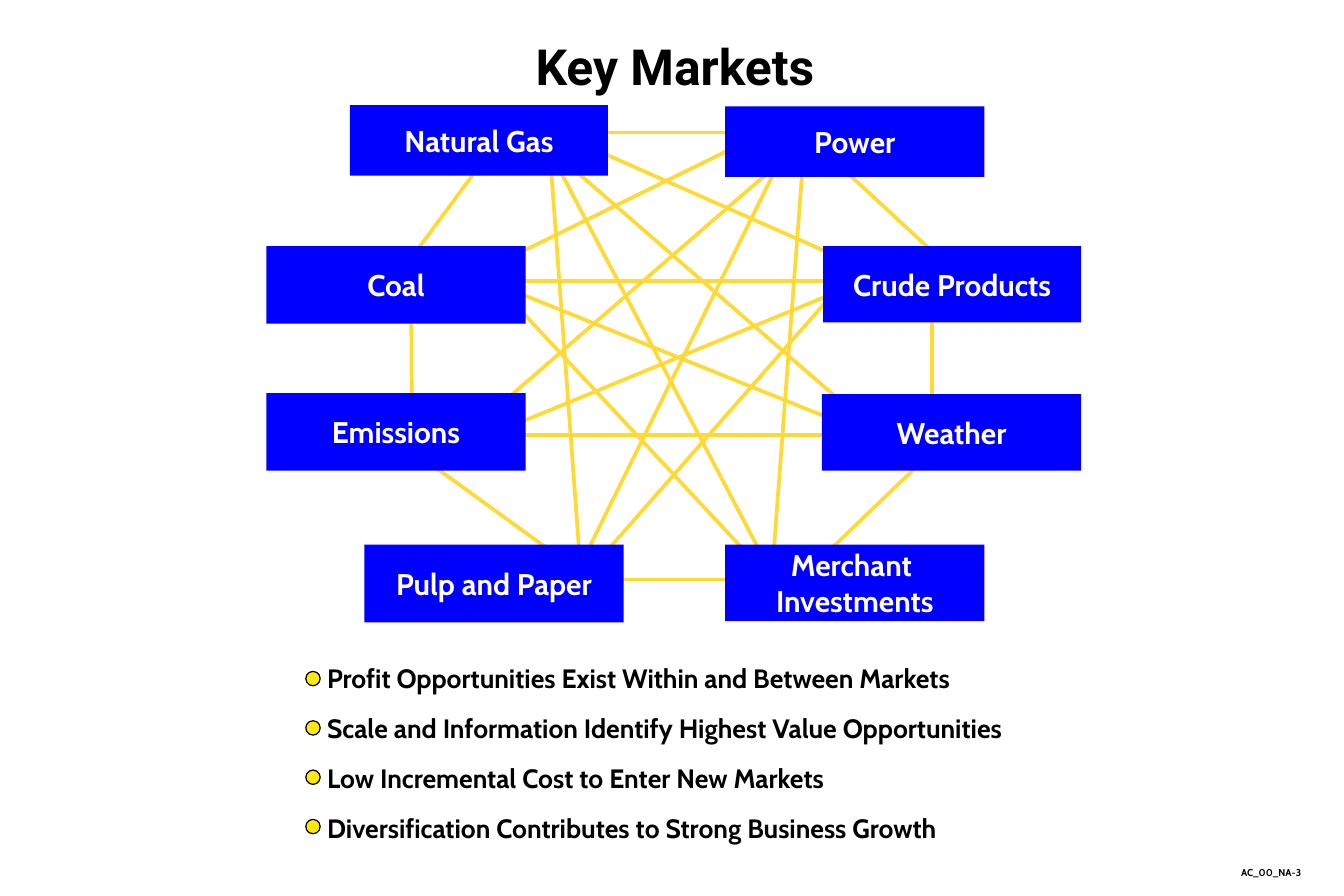
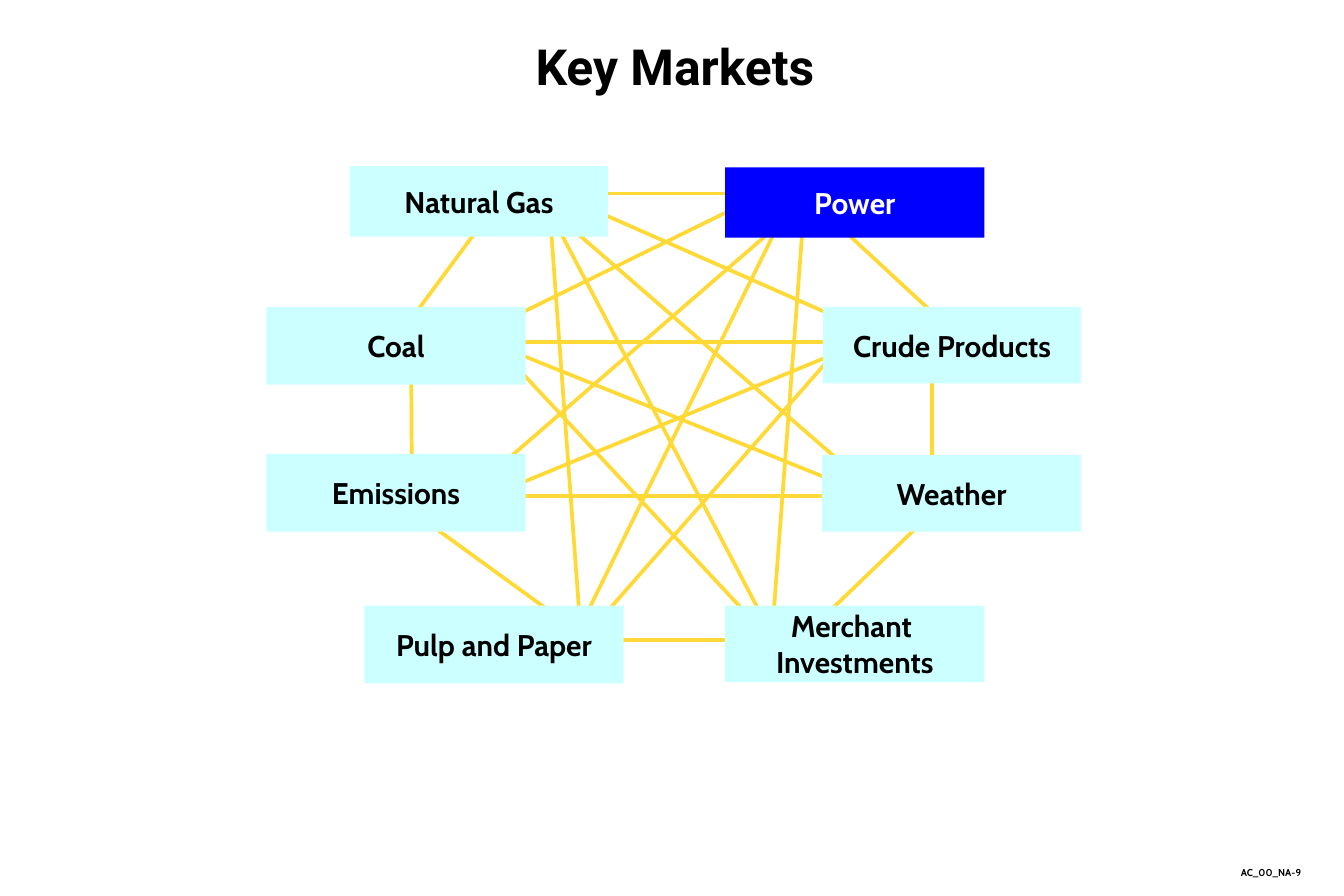
from dataclasses import dataclass
from typing import NamedTuple

from lxml import etree
from pptx import Presentation
from pptx import util as u
from pptx.dml.color import RGBColor
from pptx.enum import shapes, text
from pptx.oxml.ns import qn

WIDTH, HEIGHT = u.Inches(11.25), u.Inches(7.5)
ROWS = 75  # square cells: 75 rows by 112.5 columns
CELL = HEIGHT / ROWS

BLACK, WHITE = "000000", "FFFFFF"
BLUE, PALE = "0000FF", "CCFFFF"
LINK, DOT = "FFD935", "FFE80F"
BODY_FONT, TITLE_FONT = "Cabin", "Roboto"


class Box(NamedTuple):
    """A rectangle in grid cells."""
    col: float
    row: float
    cols: float
    rows: float


class Link(NamedTuple):
    """A line in grid cells; rows count from the top of the diagram."""
    col1: float
    row1: float
    col2: float
    row2: float


@dataclass(frozen=True)
class Market:
    name: str
    box: Box


@dataclass(frozen=True)
class MarketSlide:
    code: str
    top: float
    active: tuple[str, ...]
    points: tuple[str, ...] = ()


TITLE_BOX = Box(4, 2.5, 105, 6)
CODE_BOX = Box(97.5, 72, 12.4, 2.1)
POINTS_BOX = Box(26.4, 54.8, 82, 16.4)
FIRST_DOT = Box(25.6, 56.2, 1.2, 1.2)
DOT_PITCH = 4.13

MARKETS = (
    Market("Natural Gas", Box(29.3, 0, 21.6, 5.9)),
    Market("Power", Box(60.7, 0.1, 21.7, 5.9)),
    Market("Coal", Box(22.3, 11.8, 21.7, 6.5)),
    Market("Crude Products", Box(68.9, 11.8, 21.6, 6.4)),
    Market("Emissions", Box(22.3, 24.1, 21.7, 6.5)),
    Market("Weather", Box(68.8, 24.2, 21.7, 6.4)),
    Market("Pulp and Paper", Box(30.5, 36.8, 21.7, 6.5)),
    Market("Merchant \nInvestments", Box(60.7, 36.8, 21.7, 6.4)),
)

LINKS = (
    # Natural Gas
    Link(47.5, 2.3, 64.9, 2.3),
    Link(41.6, 3.1, 34.5, 12.7),
    Link(46.8, 2.4, 69.7, 12.5),
    Link(48.4, 5.7, 71.9, 26.1),
    Link(46, 3.6, 48.5, 37.6),
    Link(46.1, 4, 64, 38.1),
    # Power
    Link(63.8, 2.4, 42.4, 12.9),
    Link(68.6, 3.5, 78.2, 12.4),
    Link(65.4, 4.7, 40.7, 26.1),
    Link(65.6, 4, 48.8, 38.1),
    Link(67.3, 3.6, 64.8, 36.9),
    # Coal
    Link(38.8, 14.7, 73.6, 14.7),
    Link(34.4, 13.5, 34.5, 30.2),
    Link(42.1, 15.2, 71.4, 27),
    Link(43.5, 17.1, 64.1, 39.2),
    # Crude Products
    Link(70.9, 15.3, 41.5, 27.4),
    Link(78, 14, 78, 29.6),
    Link(69.2, 16.4, 50.2, 38),
    # Emissions
    Link(39.4, 27.6, 74.2, 27.6),
    Link(35.6, 29.7, 46.9, 37.9),
    # Weather, Pulp and Paper
    Link(77.3, 29.7, 66.6, 40),
    Link(39.4, 39.7, 74.2, 39.7),
)

SLIDES = (
    MarketSlide("AC_00_NA-3", 8.8, tuple(m.name for m in MARKETS), (
        "Profit Opportunities Exist Within and Between Markets",
        "Scale and Information Identify Highest Value Opportunities",
        "Low Incremental Cost to Enter New Markets",
        "Diversification Contributes to Strong Business Growth",
    )),
    MarketSlide("AC_00_NA-9", 13.9, ("Power",)),
)


def cells(*counts: float) -> list[int]:
    """Turn grid cells into EMU."""
    return [round(n * CELL) for n in counts]


def color(hex_code: str) -> RGBColor:
    return RGBColor.from_string(hex_code)


def write(tf, content: str, size: float, align=text.PP_ALIGN.LEFT, ink: str = BLACK,
          font: str = BODY_FONT, anchor=text.MSO_ANCHOR.TOP, wrap: bool = True):
    """Fill a text frame, one paragraph a line, all in one bold style."""
    tf.auto_size = text.MSO_AUTO_SIZE.NONE
    tf.word_wrap = wrap
    tf.vertical_anchor = anchor
    tf.margin_left = tf.margin_right = u.Inches(0.1)
    tf.margin_top = tf.margin_bottom = u.Inches(0.05)
    tf.text = content
    for p in tf.paragraphs:
        p.alignment = align
        p.font.name = font
        p.font.size = u.Pt(size)
        p.font.bold = True
        p.font.color.rgb = color(ink)


def add_title(slide, content: str) -> None:
    sp = slide.shapes.title
    sp.left, sp.top, sp.width, sp.height = cells(*TITLE_BOX)
    write(sp.text_frame, content, 30, text.PP_ALIGN.CENTER, font=TITLE_FONT)


def add_code(slide, code: str) -> None:
    sp = slide.shapes.add_textbox(*cells(*CODE_BOX))
    write(sp.text_frame, code, 6, text.PP_ALIGN.RIGHT)


def add_solid(slide, kind, box: Box, fill: str, outline: str | None = None):
    sp = slide.shapes.add_shape(kind, *cells(*box))
    sp.shadow.inherit = False
    sp.fill.solid()
    sp.fill.fore_color.rgb = color(fill)
    if outline:
        sp.line.color.rgb = color(outline)
        sp.line.width = u.Pt(0.75)
    else:
        sp.line.fill.background()
    return sp


def add_link(slide, link: Link, top: float) -> None:
    ends = cells(link.col1, top + link.row1, link.col2, top + link.row2)
    cxn = slide.shapes.add_connector(shapes.MSO_CONNECTOR.STRAIGHT, *ends)
    cxn.line.color.rgb = color(LINK)
    cxn.line.width = u.Pt(2.25)
    etree.SubElement(cxn._element.spPr, qn("a:effectLst"))


def add_market(slide, market: Market, top: float, active: bool) -> None:
    box = market.box._replace(row=top + market.box.row)
    sp = add_solid(slide, shapes.MSO_SHAPE.RECTANGLE, box, BLUE if active else PALE)
    write(sp.text_frame, market.name, 18, text.PP_ALIGN.CENTER,
          WHITE if active else BLACK, anchor=text.MSO_ANCHOR.MIDDLE, wrap=False)


def add_points(slide, points: tuple[str, ...]) -> None:
    sp = slide.shapes.add_textbox(*cells(*POINTS_BOX))
    write(sp.text_frame, "\n".join(points), 16)
    for i, p in enumerate(sp.text_frame.paragraphs):
        p.line_spacing = 1.05
        p.space_before = u.Pt(10 if i else 0)
        dot = FIRST_DOT._replace(row=FIRST_DOT.row + i * DOT_PITCH)
        add_solid(slide, shapes.MSO_SHAPE.OVAL, dot, DOT, BLACK)


def add_market_slide(prs, content: MarketSlide) -> None:
    slide = prs.slides.add_slide(prs.slide_layouts.get_by_name("Title Only"))
    add_title(slide, "Key Markets")
    add_code(slide, content.code)
    for link in LINKS:
        add_link(slide, link, content.top)
    for market in MARKETS:
        add_market(slide, market, content.top, market.name in content.active)
    if content.points:
        add_points(slide, content.points)


def main() -> None:
    prs = Presentation()
    prs.slide_width, prs.slide_height = WIDTH, HEIGHT
    for content in SLIDES:
        add_market_slide(prs, content)
    prs.save("out.pptx")


if __name__ == "__main__":
    main()
